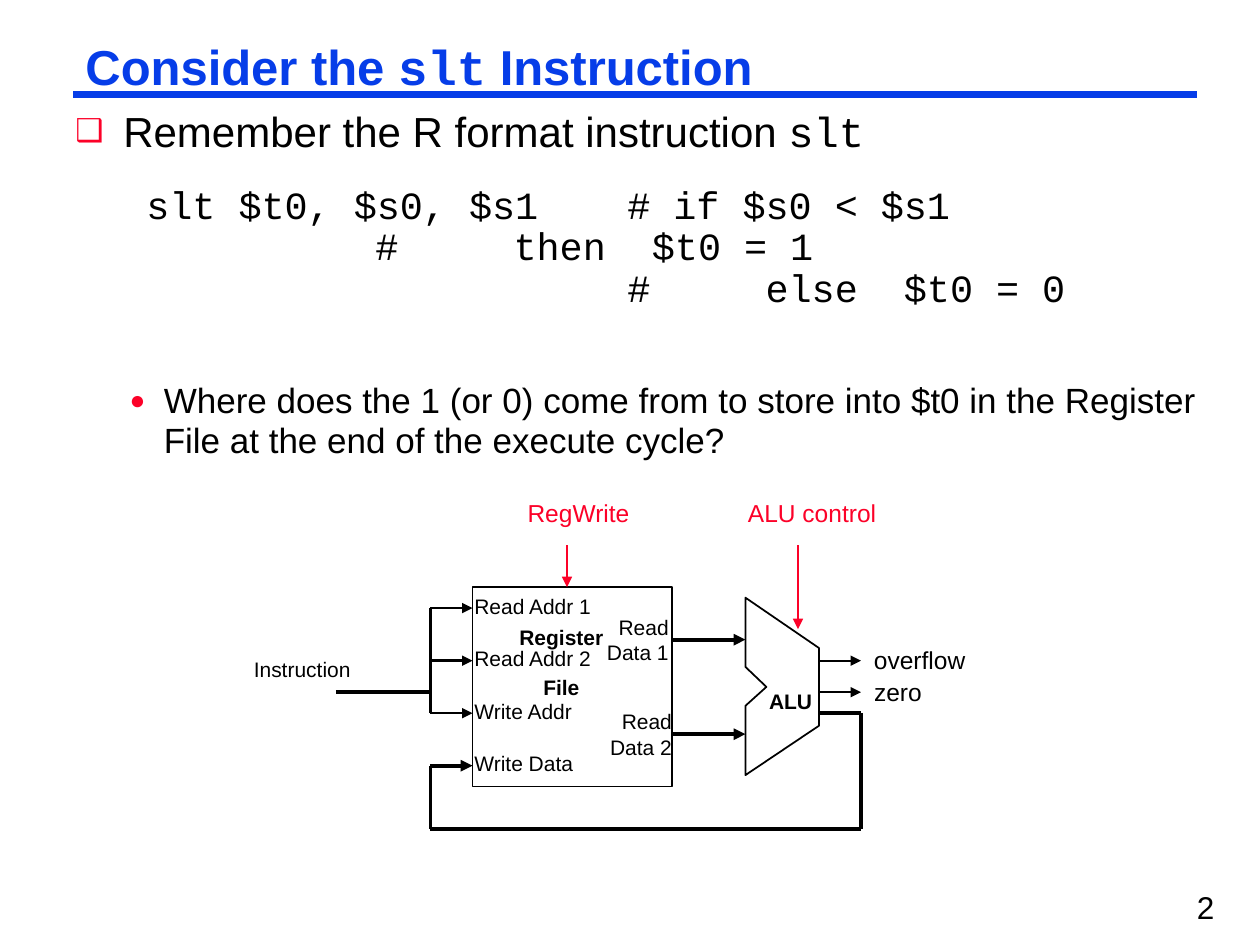
import pptx
import pptx.util
import pptx.dml.color
import pptx.enum.text
import pptx.enum.shapes
import pptx.oxml
import pptx.oxml.ns
from lxml import etree

Inch, Pt = pptx.util.Inches, pptx.util.Pt
RGB = pptx.dml.color.RGBColor
ALIGN, ANCHOR = pptx.enum.text.PP_ALIGN, pptx.enum.text.MSO_ANCHOR
BLACK, BLUE, RED = RGB(0, 0, 0), RGB(0x06, 0x3D, 0xE8), RGB(0xFC, 0x01, 0x28)
SANS, MONO = "Arial", "Courier New"

# Content: runs are (text, font)
TITLE = [("Consider the ", SANS), ("slt", MONO), (" Instruction", SANS)]
LEAD = [("Remember the R format instruction ", SANS), ("slt", MONO)]
CODE = ("\t slt $t0, $s0, $s1 \t\t# if $s0 < $s1\v"
        "\t\t\t\t#     then  $t0 = 1\v"
        "\t\t\t\t\t\t\t\t#     else  $t0 = 0")
ASK = [("Where does the 1 (or 0) come from to store into $t0 in the Register "
        "File at the end of the execute cycle?", SANS)]

# Diagram grid: cells of 1/12 inch, counted from the register file's corner
LEFT, TOP, CELL = 3.75, 4.66, 1 / 12
FILE = 19  # side of the register file
ALU = [(26, 1), (26, 7.6), (28, 9.5), (26, 11.3),
       (26, 17.9), (33, 13.2), (33, 5.8)]

# Wires: x1, y1, x2, y2, width, arrow, colour
WIRES = [
    (-13, 10, -4, 10, 2.25, False, BLACK),
    (-4, 2, -4, 12, 2.25, False, BLACK),
    (-4, 2, 0, 2, 1.5, True, BLACK),
    (-4, 7, 0, 7, 1.5, True, BLACK),
    (-4, 12, 0, 12, 1.5, True, BLACK),
    (-4, 17, 0, 17, 2.25, True, BLACK),
    (FILE, 5, 26, 5, 2.25, True, BLACK),
    (FILE, 14, 26, 14, 2.25, True, BLACK),
    (-4, 17, -4, 23, 2.25, False, BLACK),
    (-4, 23, 37, 23, 2.25, False, BLACK),
    (33, 12, 37, 12, 2.25, False, BLACK),
    (37, 12, 37, 23, 2.25, False, BLACK),
    (33, 10, 37, 10, 1, True, BLACK),
    (33, 7, 37, 7, 1, True, BLACK),
    (31, -4, 31, 4, 1.5, True, RED),
    (9, -4, 9, 0, 1, True, RED),
]

# Port labels: lines, x, y, width and height in inches, alignment, bold, gap
PORTS = [
    (["Instruction"], -22, 6, 0.97, 0.3, ALIGN.LEFT, False, 0),
    (["Read Addr 1"], -1, 0, 1.13, 0.3, ALIGN.LEFT, False, 0),
    (["Read Addr 2"], -1, 5, 1.13, 0.3, ALIGN.LEFT, False, 0),
    (["Write Addr"], -1, 10, 0.99, 0.3, ALIGN.LEFT, False, 0),
    (["Write Data"], -1, 15, 0.99, 0.3, ALIGN.LEFT, False, 0),
    (["Register", "File"], 3.25, 3, 0.87, 0.7, ALIGN.CENTER, True, 14),
    (["Read", "Data 1"], 11, 2, 0.74, 0.5, ALIGN.RIGHT, False, 0),
    (["Read", "Data 2"], 11.3, 11, 0.74, 0.5, ALIGN.RIGHT, False, 0),
]

# Signal labels: text, x, y, width, height, size, line pitch, bold, colour
SIGNALS = [
    ("ALU", 28, 9, 0.55, 0.36, 12, 16, True, BLACK),
    ("overflow", 38, 5, 1.17, 0.33, 14, 18, False, BLACK),
    ("zero", 38, 8, 0.58, 0.33, 14, 18, False, BLACK),
    ("ALU control", 26, -9, 1.2, 0.36, 14, 18, False, RED),
    ("RegWrite", 5, -9, 1.01, 0.36, 14, 18, False, RED),
]

deck = pptx.Presentation()
deck.slide_width, deck.slide_height = Inch(10), Inch(7.5)
slide = deck.slides.add_slide(deck.slide_layouts[6])
shapes = slide.shapes


def grid(x, y):
    return LEFT + x * CELL, TOP + y * CELL


def line(x1, y1, x2, y2, width, arrow, color):
    wire = shapes.add_connector(pptx.enum.shapes.MSO_CONNECTOR.STRAIGHT,
                                Inch(x1), Inch(y1), Inch(x2), Inch(y2))
    wire.line.width = Pt(width)
    wire.line.color.rgb = color
    if arrow:
        etree.SubElement(wire.line._get_or_add_ln(),
                         pptx.oxml.ns.qn("a:tailEnd"), type="triangle")
    etree.SubElement(wire._element.spPr, pptx.oxml.ns.qn("a:effectLst"))


def box(x, y, w, h, side=0.1, edge=0.05, wrap=True):
    frame = shapes.add_textbox(Inch(x), Inch(y), Inch(w), Inch(h)).text_frame
    frame.word_wrap = wrap
    frame.margin_left = frame.margin_right = Inch(side)
    frame.margin_top = frame.margin_bottom = Inch(edge)
    return frame


def style(para, size, color=BLACK, name=None, bold=False):
    para.font.size = Pt(size)
    para.font.color.rgb = color
    para.font.bold = bold
    para.font.name = name


def fill(para, runs):
    for text, name in runs:
        run = para.add_run()
        run.text, run.font.name = text, name


def indent(para, left, hang, mark=None):
    props = para._p.get_or_add_pPr()
    props.set("marL", str(Inch(left)))
    props.set("indent", str(Inch(-hang)))
    if mark:
        tint = etree.SubElement(props, pptx.oxml.ns.qn("a:buClr"))
        etree.SubElement(tint, pptx.oxml.ns.qn("a:srgbClr"), val=str(RED))
        etree.SubElement(props, pptx.oxml.ns.qn("a:buSzPct"), val="75000")
        etree.SubElement(props, pptx.oxml.ns.qn("a:buFont"), typeface=SANS)
        etree.SubElement(props, pptx.oxml.ns.qn("a:buChar"), char=mark)


def outline(shape):
    shape.shadow.inherit = False
    shape.fill.background()
    shape.line.color.rgb = BLACK
    shape.line.width = Pt(1)


# Title and its rule
line(0.58, 0.75, 9.5, 0.75, 4.5, False, BLUE)
frame = box(0.58, 0.33, 8.92, 0.46)
frame.vertical_anchor = ANCHOR.MIDDLE
para = frame.paragraphs[0]
para.line_spacing = 0.87
fill(para, TITLE)
style(para, 28, BLUE, bold=True)

# Lead bullet and code
frame = box(0.5, 0.83, 9.08, 2.08)
para = frame.paragraphs[0]
indent(para, 0.38, 0.38, "❑")
para.line_spacing = 0.9
fill(para, LEAD)
style(para, 24)
para = frame.add_paragraph()
para.text = CODE
indent(para, 0.38, 0.38)
para.line_spacing, para.space_before = 0.9, Pt(17)
style(para, 22)
for run in para.runs:
    run.font.name = MONO

# Question
para = box(0.42, 3, 9.17, 0.7, 0.07, 0.03).paragraphs[0]
para.level = 1
indent(para, 0.81, 0.27, "●")
para.line_spacing = 0.95
fill(para, ASK)
style(para, 20)

# Register file, ALU and wires
x, y = grid(0, 0)
outline(shapes.add_shape(pptx.enum.shapes.MSO_SHAPE.RECTANGLE, Inch(x), Inch(y),
                         Inch(FILE * CELL), Inch(FILE * CELL)))
spots = [tuple(Inch(v) for v in grid(*spot)) for spot in ALU]
pen = shapes.build_freeform(*spots[0])
pen.add_line_segments(spots[1:], close=True)
outline(pen.convert_to_shape())
for x1, y1, x2, y2, *look in WIRES:
    line(*grid(x1, y1), *grid(x2, y2), *look)

# Diagram labels
for lines, x, y, w, h, align, bold, gap in PORTS:
    frame = box(*grid(x, y), w, h, wrap=False)
    for i, text in enumerate(lines):
        para = frame.add_paragraph() if i else frame.paragraphs[0]
        para.text, para.alignment = text, align
        if i and gap:
            para.space_before = Pt(gap)
        style(para, 12, BLACK, SANS, bold)
for text, x, y, w, h, size, pitch, bold, color in SIGNALS:
    para = box(*grid(x, y), w, h, 0.02, 0.03, False).paragraphs[0]
    para.text, para.line_spacing = text, Pt(pitch)
    style(para, size, color, SANS, bold)

# Page number
para = box(9.48, 7.03, 0.27, 0.43, 0.02, 0.03, False).paragraphs[0]
para.text, para.line_spacing = "2", Pt(21)
style(para, 18, BLACK, SANS)

deck.save("out.pptx")
